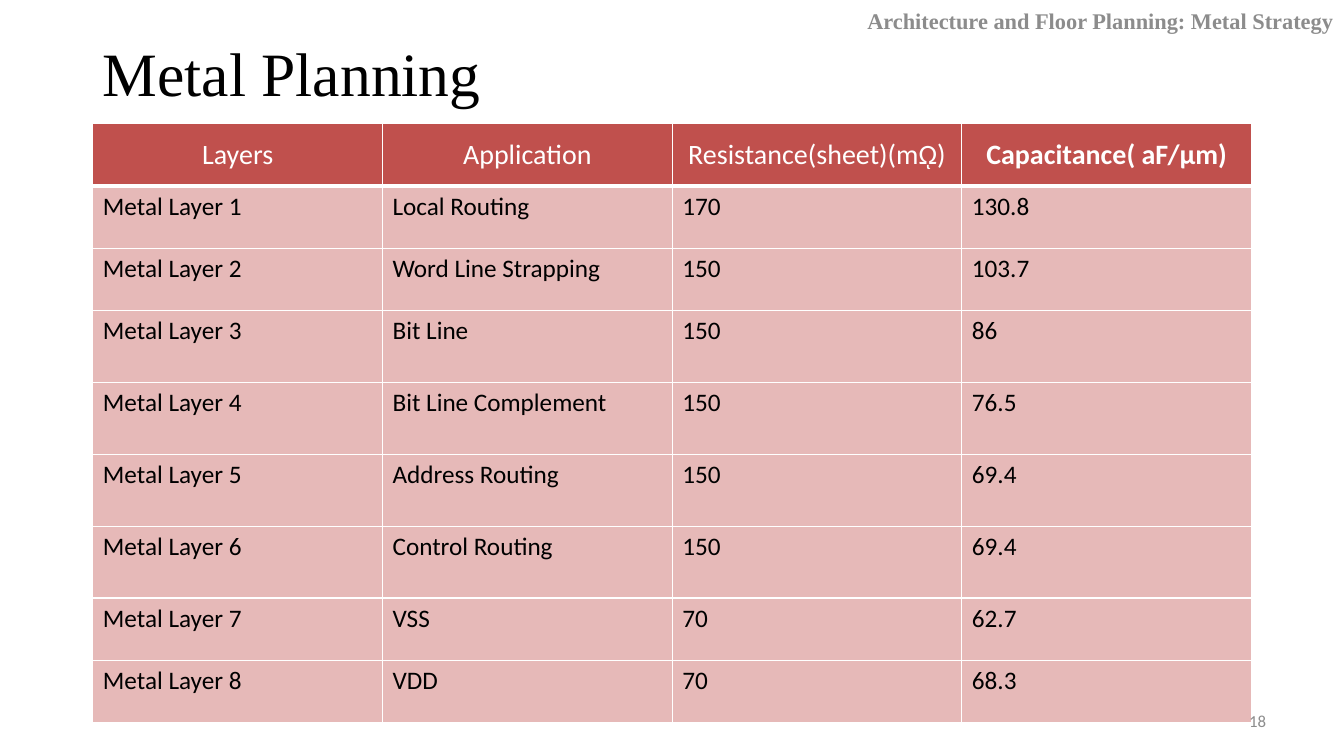
from lxml import etree
from pptx import Presentation
from pptx import util as u
from pptx.dml import color
from pptx.enum import text
from pptx.oxml import ns

SERIF = "Times New Roman"
SANS = "Calibri"
WHITE, BLACK, GREY = "FFFFFF", "000000", "8C8C8C"
HEADER_RED, BODY_PINK = "C0504D", "E6B9B8"

HEADINGS = ["Layers", "Application", "Resistance(sheet)(mῼ)", "Capacitance( aF/μm)"]
LAYERS = [
    ("Local Routing", "170", "130.8"),
    ("Word Line Strapping", "150", "103.7"),
    ("Bit Line", "150", "86"),
    ("Bit Line Complement", "150", "76.5"),
    ("Address Routing", "150", "69.4"),
    ("Control Routing", "150", "69.4"),
    ("VSS", "70", "62.7"),
    ("VDD", "70", "68.3"),
]
TALL_ROWS = range(3, 7)


def rgb(value):
    return color.RGBColor.from_string(value)


def write(frame, words, font=SANS, size=18, ink=BLACK, bold=False, align="LEFT"):
    paragraph = frame.paragraphs[0]
    paragraph.alignment = getattr(text.PP_ALIGN, align)
    run = paragraph.add_run()
    run.text = words
    run.font.name = font
    run.font.size = u.Pt(size)
    run.font.bold = bold
    run.font.color.rgb = rgb(ink)


def add_label(slide, left, top, width, height, words, **style):
    frame = slide.shapes.add_textbox(u.Cm(left), u.Cm(top), u.Cm(width), u.Cm(height)).text_frame
    frame.word_wrap = True
    frame.vertical_anchor = text.MSO_ANCHOR.MIDDLE
    write(frame, words, **style)


def add_borders(cell, **points):
    properties = cell._tc.get_or_add_tcPr()
    for side in "LRTB":
        line = etree.SubElement(properties, ns.qn(f"a:ln{side}"), w=str(u.Pt(points.get(side, 1))))
        fill = etree.SubElement(line, ns.qn("a:solidFill"))
        etree.SubElement(fill, ns.qn("a:srgbClr"), val=WHITE)


def fill_cell(cell, words, fill, borders, **style):
    add_borders(cell, **borders)
    cell.fill.solid()
    cell.fill.fore_color.rgb = rgb(fill)
    write(cell.text_frame, words, **style)


def add_metal_table(slide):
    row_count, column_count = len(LAYERS) + 1, len(HEADINGS)
    table = slide.shapes.add_table(
        row_count, column_count, u.Cm(2.34), u.Cm(3.12), u.Cm(29.2), u.Cm(15.1)
    ).table
    table.horz_banding = False
    for index, row in enumerate(table.rows):
        row.height = u.Cm(1.81 if index in TALL_ROWS else 1.57)
    for column, heading in enumerate(HEADINGS):
        cell = table.cell(0, column)
        cell.vertical_anchor = text.MSO_ANCHOR.MIDDLE
        fill_cell(cell, heading, HEADER_RED, {"B": 3}, size=20, ink=WHITE,
                  bold=column == column_count - 1, align="CENTER")
    for number, details in enumerate(LAYERS, 1):
        borders = {"T": 3} if number == 1 else {}
        for column, words in enumerate((f"Metal Layer {number}", *details)):
            fill_cell(table.cell(number, column), words, BODY_PINK, borders)


def main():
    deck = Presentation()
    deck.slide_width, deck.slide_height = u.Cm(33.87), u.Cm(19.05)
    slide = deck.slides.add_slide(deck.slide_layouts[6])
    add_label(slide, 2.34, 0.48, 29.2, 2.64, "Metal Planning", font=SERIF, size=44)
    add_metal_table(slide)
    add_label(slide, 24.26, 17.65, 7.9, 1.02, "18", size=12, ink=GREY, align="RIGHT")
    add_label(slide, 19.96, 0, 13.89, 1.02, "Architecture and Floor Planning: Metal Strategy",
              font=SERIF, size=16, ink=GREY, bold=True, align="RIGHT")
    deck.save("out.pptx")


if __name__ == "__main__":
    main()
